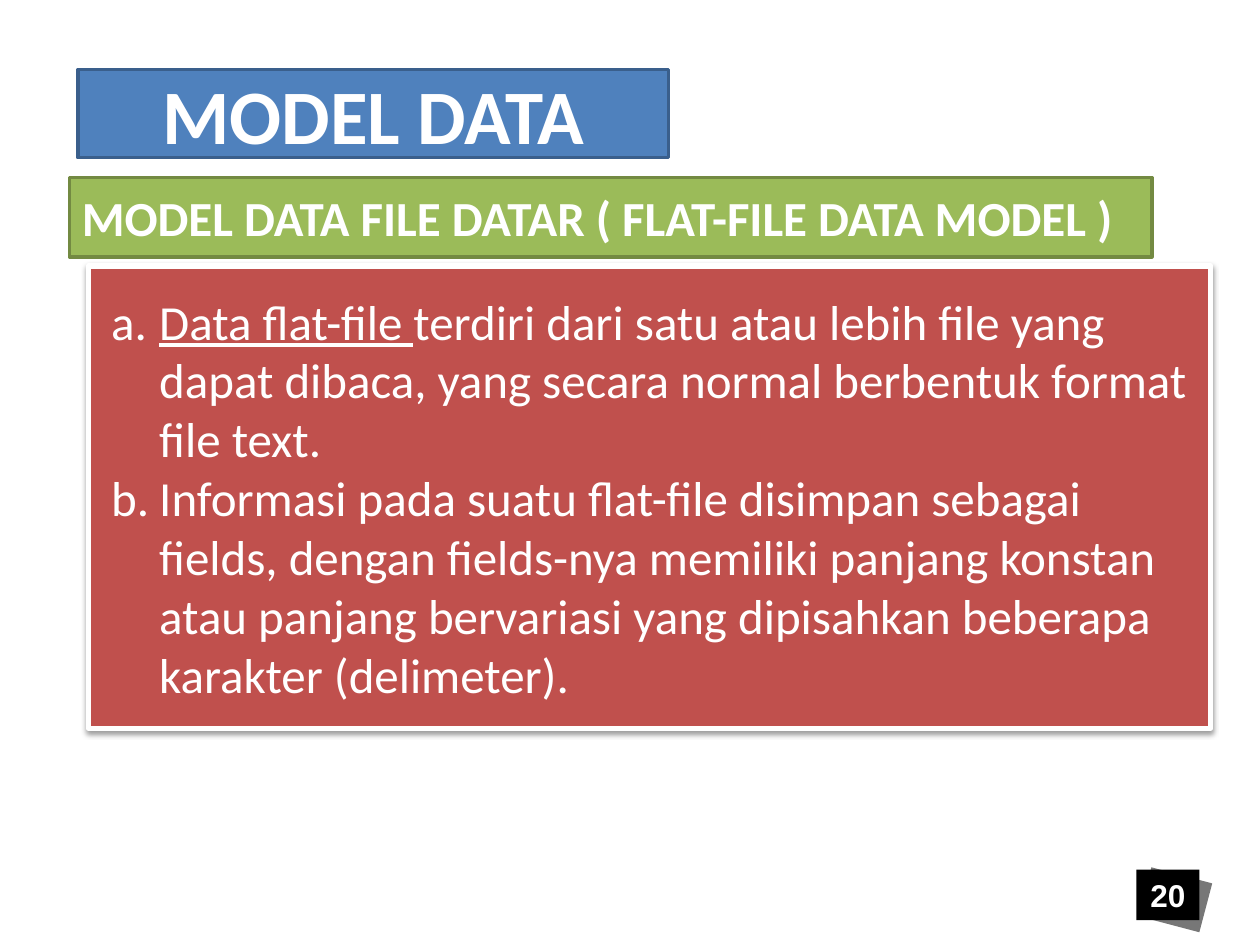
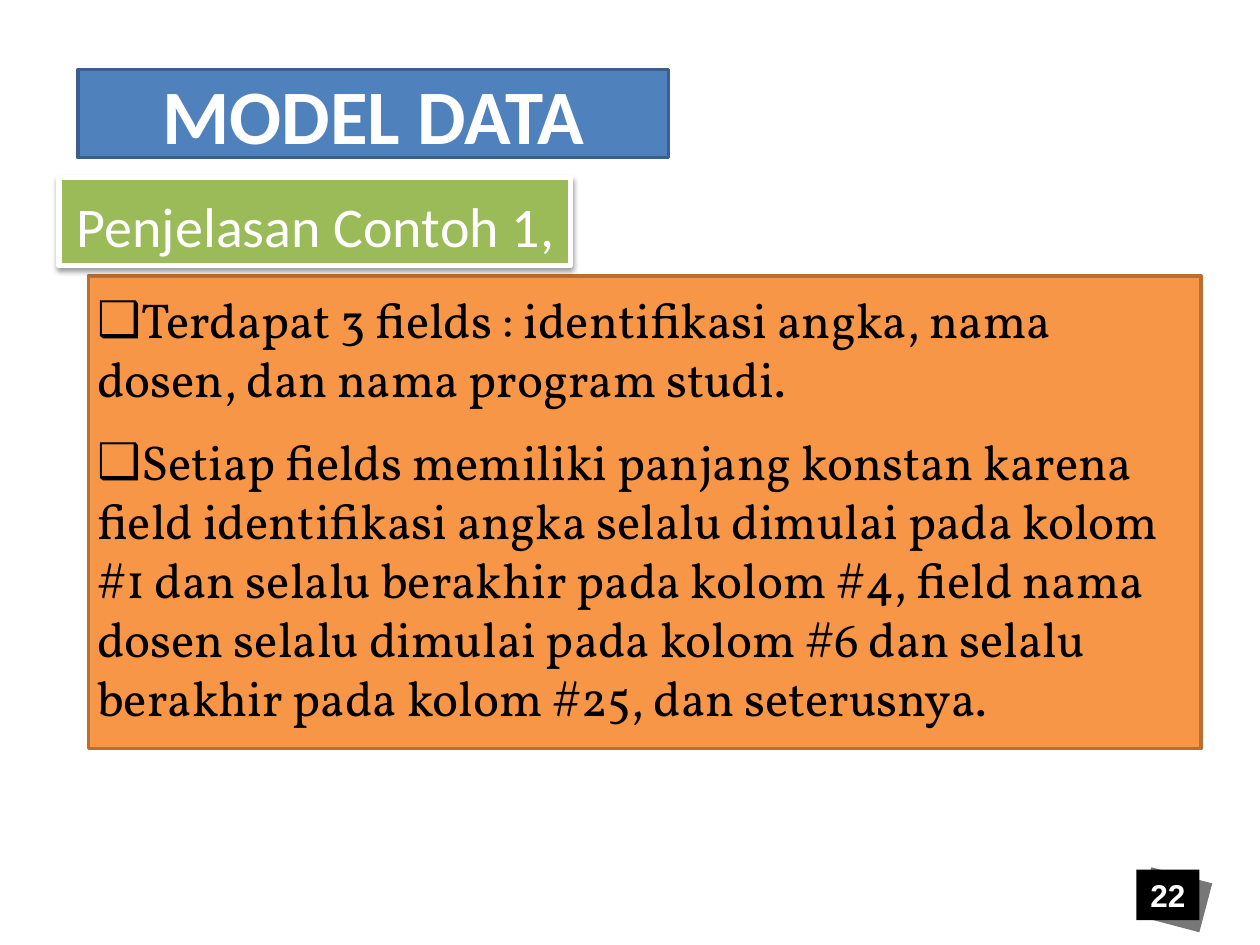
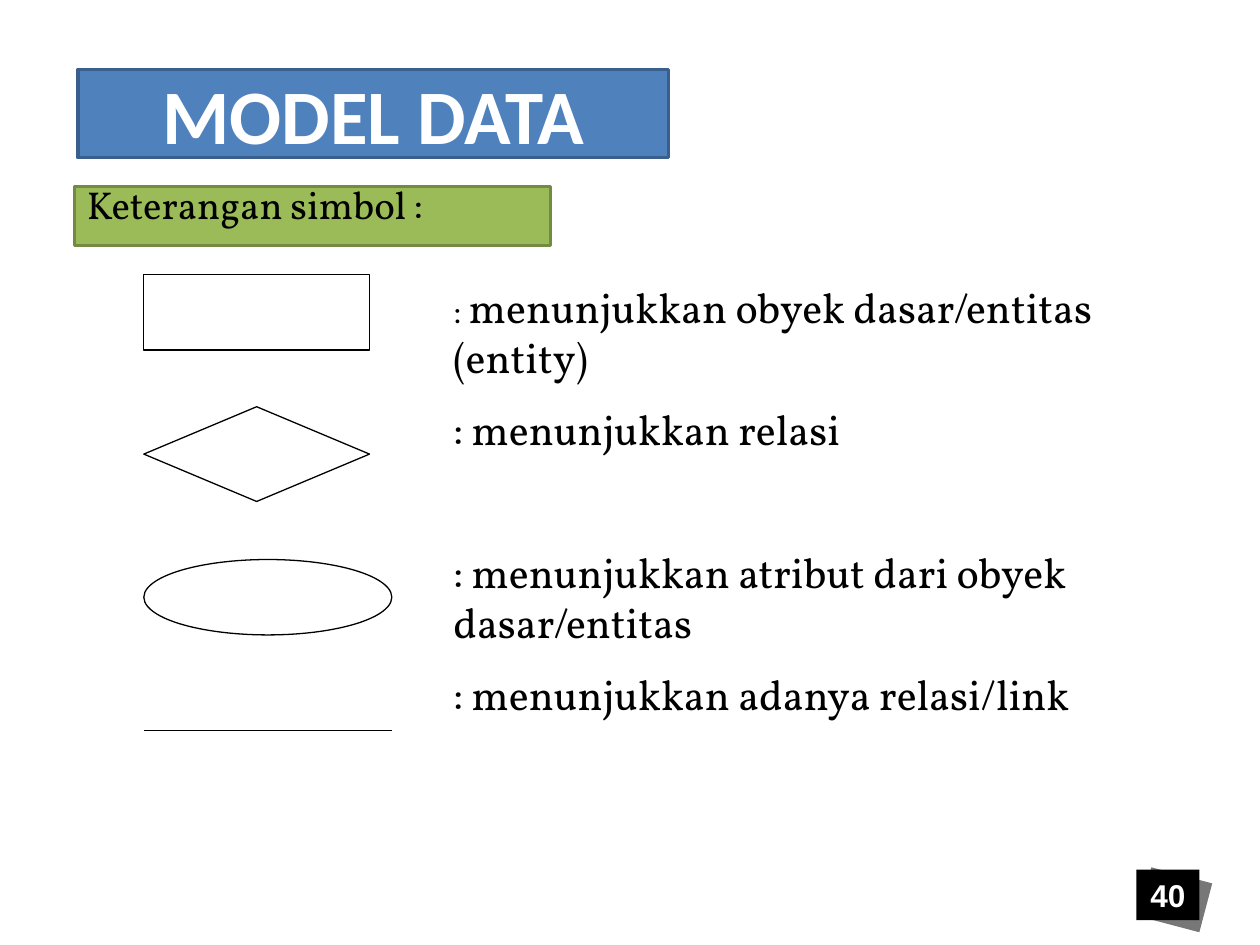
import dataclasses

import lxml.etree
import pptx
import pptx.dml.color
import pptx.enum.shapes
import pptx.enum.text
import pptx.oxml.ns
import pptx.util

Cm = pptx.util.Cm
Pt = pptx.util.Pt
Shapes = pptx.enum.shapes.MSO_SHAPE
Anchor = pptx.enum.text.MSO_ANCHOR
Align = pptx.enum.text.PP_ALIGN


@dataclasses.dataclass(frozen=True)
class Theme:
    sans: str = "Calibri"
    serif: str = "Vollkorn"
    badge_font: str = "Arial"
    white: str = "FFFFFF"
    black: str = "000000"
    gray: str = "777777"
    blue: str = "4F81BD"
    blue_edge: str = "3A5F8C"
    green: str = "9BBB59"
    green_edge: str = "738A42"
    red: str = "C0504D"
    orange: str = "F79646"
    orange_edge: str = "B76F34"
    title_size: float = 44
    subtitle_size: float = 32
    body_size: float = 28
    legend_size: float = 24
    caption_size: float = 22.2
    small_size: float = 18


THEME = Theme()


@dataclasses.dataclass(frozen=True)
class Span:
    text: str
    size: float = THEME.body_size
    font: str = THEME.sans
    color: str = THEME.white
    bold: bool = False
    underline: bool = False


def rgb(color):
    return pptx.dml.color.RGBColor.from_string(color)


def add_xml(parent, tag, **attributes):
    return lxml.etree.SubElement(parent, pptx.oxml.ns.qn(tag), attributes)


# Shape formatting

def place(shape, left, top, width, height):
    shape.left, shape.top = Cm(left), Cm(top)
    shape.width, shape.height = Cm(width), Cm(height)


def paint(shape, fill, edge=None, weight=2.0):
    shape.shadow.inherit = False
    shape.fill.solid()
    shape.fill.fore_color.rgb = rgb(fill)
    if edge:
        shape.line.color.rgb = rgb(edge)
        shape.line.width = Pt(weight)
    else:
        shape.line.fill.background()


def add_shadow(shape):
    effects = shape._element.spPr.find(pptx.oxml.ns.qn("a:effectLst"))
    shadow = add_xml(effects, "a:outerShdw", blurRad="40000", dist="20000",
                     dir="5400000", rotWithShape="0")
    color = add_xml(shadow, "a:srgbClr", val=THEME.black)
    add_xml(color, "a:alpha", val="38000")


def add_box(slide, kind, area, fill, edge=None, weight=2.0):
    left, top, width, height = area
    box = slide.shapes.add_shape(kind, Cm(left), Cm(top), Cm(width), Cm(height))
    paint(box, fill, edge, weight)
    return box


# Text

def set_frame(shape, anchor=Anchor.TOP, left=0.25, top=0.13, right=0.25):
    frame = shape.text_frame
    frame.word_wrap = True
    frame.auto_size = pptx.enum.text.MSO_AUTO_SIZE.NONE
    frame.vertical_anchor = anchor
    frame.margin_left, frame.margin_right = Cm(left), Cm(right)
    frame.margin_top, frame.margin_bottom = Cm(top), Cm(0.13)
    return frame


def set_bullet(para, bullet, indent):
    properties = para._p.get_or_add_pPr()
    properties.set("marL", str(Cm(indent)))
    properties.set("indent", str(-Cm(indent)))
    if bullet == "letters":
        add_xml(properties, "a:buAutoNum", type="alphaLcPeriod")
    elif bullet:
        add_xml(properties, "a:buChar", char=bullet)
    else:
        add_xml(properties, "a:buNone")


def write(frame, paragraphs, align=Align.LEFT, bullet=None, indent=0, gaps=None):
    for index, spans in enumerate(paragraphs):
        para = frame.paragraphs[0] if index == 0 else frame.add_paragraph()
        set_bullet(para, bullet, indent)
        para.alignment = align
        para.space_before = Pt(gaps[index] if gaps else 0)
        for span in spans:
            run = para.add_run()
            run.text = span.text
            run.font.name = span.font
            run.font.size = Pt(span.size)
            run.font.color.rgb = rgb(span.color)
            run.font.bold = span.bold
            run.font.underline = span.underline


# Parts shared by the slides

def add_title(slide):
    title = slide.shapes.title
    place(title, 1.57, 1.4, 11.91, 1.78)
    geometry = add_xml(title._element.spPr, "a:prstGeom", prst="roundRect")
    add_xml(geometry, "a:avLst")
    paint(title, THEME.blue, THEME.blue_edge)
    write(set_frame(title, Anchor.MIDDLE),
          [[Span("MODEL DATA", THEME.title_size, bold=True)]], Align.CENTER)


def add_page_badge(slide, number):
    back = add_box(slide, Shapes.RECTANGLE, (23.06, 17.63, 1.27, 1.02), THEME.gray)
    back.rotation = 14.8
    front = add_box(slide, Shapes.RECTANGLE, (22.91, 17.53, 1.27, 1.02), THEME.black)
    write(set_frame(front),
          [[Span(number, THEME.small_size, THEME.badge_font, bold=True)]],
          Align.CENTER)


def add_slide(deck, number):
    slide = deck.slides.add_slide(deck.slide_layouts[1])
    add_title(slide)
    add_page_badge(slide, number)
    return slide, slide.placeholders[1]


# Slides

def build_flat_file(deck):
    slide, body = add_slide(deck, "20")
    heading = add_box(slide, Shapes.RECTANGLE, (1.4, 3.58, 21.82, 1.6),
                      THEME.green, THEME.green_edge)
    write(set_frame(heading, Anchor.MIDDLE),
          [[Span("MODEL DATA FILE DATAR ( FLAT-FILE DATA MODEL )", bold=True)]])

    place(body, 1.78, 5.36, 22.63, 9.32)
    paint(body, THEME.red, THEME.white, 3)
    add_shadow(body)
    write(set_frame(body, Anchor.MIDDLE, left=0.46, right=0.46), [
        [Span("Data flat-file ", underline=True),
         Span("terdiri dari satu atau lebih file yang dapat dibaca, yang secara "
              "normal berbentuk format file text.")],
        [Span("Informasi pada suatu flat-file disimpan sebagai fields, dengan "
              "fields-nya memiliki panjang konstan atau panjang bervariasi yang "
              "dipisahkan beberapa karakter (delimeter).")],
    ], bullet="letters", indent=0.97)


def build_explanation(deck):
    slide, body = add_slide(deck, "22")
    heading = add_box(slide, Shapes.RECTANGLE, (1.19, 3.58, 10.31, 1.78),
                      THEME.green, THEME.white, 3)
    add_shadow(heading)
    write(set_frame(heading, left=0.36, top=0.28, right=0),
          [[Span("Penjelasan Contoh 1,", THEME.subtitle_size)]])

    place(body, 1.78, 5.56, 22.43, 9.53)
    paint(body, THEME.orange, THEME.orange_edge)
    facts = [
        "Terdapat 3 fields : identifikasi angka, nama dosen, dan nama program studi.",
        "Setiap fields memiliki panjang konstan karena field identifikasi angka "
        "selalu dimulai pada kolom #1 dan selalu berakhir pada kolom #4, field nama "
        "dosen selalu dimulai pada kolom #6 dan selalu berakhir pada kolom #25, dan "
        "seterusnya.",
    ]
    write(set_frame(body, left=0.18, top=0.28, right=0.15),
          [[Span(fact, font=THEME.serif, color=THEME.black)] for fact in facts],
          bullet="❑", gaps=[0, 14])


def build_legend(deck):
    slide, body = add_slide(deck, "40")
    heading = add_box(slide, Shapes.RECTANGLE, (1.5, 3.76, 9.6, 1.19),
                      THEME.green, THEME.green_edge)
    frame = set_frame(heading)
    write(frame, [[Span("Keterangan simbol :", THEME.caption_size, THEME.serif,
                        THEME.black)]])
    frame.paragraphs[0].line_spacing = 0.7

    # Symbols
    left, wide = 2.9, 5.0
    for kind, top, width, height in (
            (Shapes.RECTANGLE, 5.54, 4.55, 1.52),
            (Shapes.FLOWCHART_DECISION, 8.2, 4.55, 1.91),
            (Shapes.OVAL, 11.28, wide, 1.52)):
        add_box(slide, kind, (left, top, width, height),
                THEME.white, THEME.black, 0.75)
    link = slide.shapes.add_connector(pptx.enum.shapes.MSO_CONNECTOR.STRAIGHT,
                                      Cm(left), Cm(14.73), Cm(left + wide), Cm(14.73))
    link.line.color.rgb = rgb(THEME.black)
    link.line.width = Pt(0.75)
    add_xml(link._element.spPr, "a:effectLst")

    # Meanings
    def meaning(text):
        return Span(text, THEME.legend_size, THEME.serif, THEME.black)

    place(body, 8.89, 5.54, 15.6, 10.9)
    write(set_frame(body), [
        [Span(": ", THEME.small_size, color=THEME.black),
         meaning("menunjukkan obyek dasar/entitas (entity)")],
        [meaning(": menunjukkan relasi")],
        [meaning(": menunjukkan atribut dari obyek dasar/entitas")],
        [meaning(": menunjukkan adanya relasi/link")],
    ], gaps=[0, 12, 53, 12])


def main():
    deck = pptx.Presentation()
    deck.slide_width, deck.slide_height = Cm(25.4), Cm(19.05)
    build_flat_file(deck)
    build_explanation(deck)
    build_legend(deck)
    deck.save("out.pptx")


if __name__ == "__main__":
    main()
